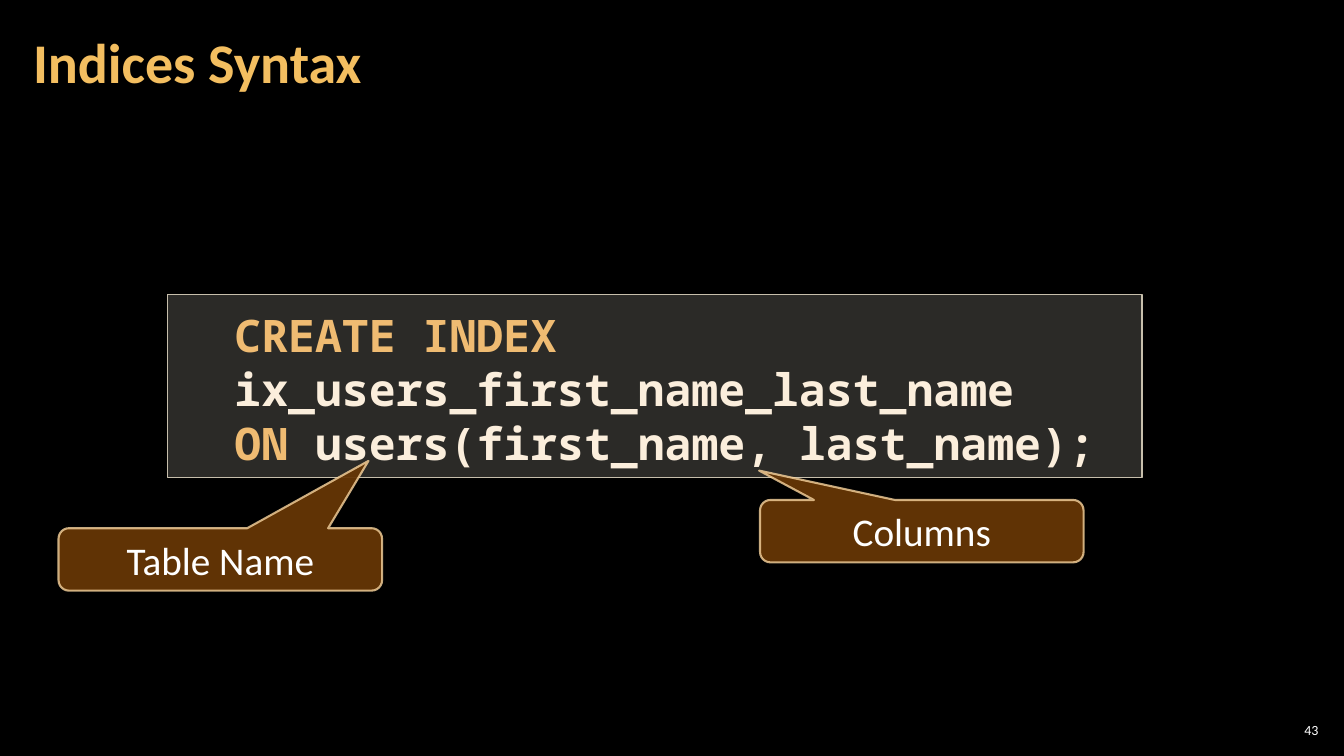
from dataclasses import dataclass

from lxml.etree import SubElement
from pptx import Presentation
from pptx.dml.color import RGBColor
from pptx.enum.shapes import MSO_SHAPE as Shape
from pptx.enum.text import MSO_ANCHOR as Anchor, PP_ALIGN as Align
from pptx.oxml.ns import qn
from pptx.util import Pt


@dataclass(frozen=True)
class Theme:
    background: str = "000000"
    title: str = "F3BE60"
    text: str = "FFFFFF"
    keyword: str = "EFBB72"
    code: str = "FBEEDC"
    code_fill: str = "D9D5C7"
    code_line: str = "C7BFAC"
    callout_fill: str = "663606"
    callout_line: str = "F8D49E"
    font: str = "Calibri"
    code_font: str = "Noto Sans Mono"
    title_size: int = 40
    code_size: int = 32
    callout_size: int = 28
    number_size: int = 10


THEME = Theme()


def paint(fill, color, opacity=100):
    """Fill with one colour, see-through below 100 percent opacity."""
    fill.solid()
    fill.fore_color.rgb = RGBColor.from_string(color)
    if opacity < 100:
        element = fill._xPr.find(qn("a:solidFill"))[0]
        SubElement(element, qn("a:alpha"), val=str(opacity * 1000))


def write_text(shape, paragraphs, size, font=THEME.font, bold=False, align=Align.LEFT,
               anchor=Anchor.MIDDLE, insets=(7.2, 3.6, 7.2, 3.6), spacing=None):
    """Each paragraph is a list of (text, colour) runs."""
    frame = shape.text_frame
    frame.word_wrap = True
    frame.vertical_anchor = anchor
    (frame.margin_left, frame.margin_top,
     frame.margin_right, frame.margin_bottom) = map(Pt, insets)
    for index, runs in enumerate(paragraphs):
        paragraph = frame.add_paragraph() if index else frame.paragraphs[0]
        paragraph.alignment = align
        paragraph.line_spacing = spacing
        for text, color in runs:
            run = paragraph.add_run()
            run.text = text
            run.font.name = font
            run.font.size = Pt(size)
            run.font.bold = bold
            run.font.color.rgb = RGBColor.from_string(color)


def add_panel(slide, kind, box, fill, opacity, line, line_width, line_opacity=100):
    shape = slide.shapes.add_shape(kind, *map(Pt, box))
    shape.shadow.inherit = False
    paint(shape.fill, fill, opacity)
    paint(shape.line.fill, line, line_opacity)
    shape.line.width = Pt(line_width)
    return shape


def add_title(slide, box, text):
    shape = slide.shapes.add_textbox(*map(Pt, box))
    write_text(shape, [[(text, THEME.title)]], THEME.title_size, bold=True,
               insets=(8.5, 2.8, 8.5, 2.8), spacing=0.9)


def add_code(slide, box, lines):
    shape = add_panel(slide, Shape.RECTANGLE, box, THEME.code_fill, 20, THEME.code_line, 1)
    write_text(shape, lines, THEME.code_size, font=THEME.code_font, bold=True,
               anchor=Anchor.TOP, insets=(48, 9.4, 0, 5), spacing=Pt(38.6))


def add_callout(slide, box, text, tip):
    """The tip is measured from the top left corner of the box."""
    left, top, width, height = box
    shape = add_panel(slide, Shape.ROUNDED_RECTANGULAR_CALLOUT, box,
                      THEME.callout_fill, 95, THEME.callout_line, 1.5, 80)
    shape.adjustments[0] = tip[0] / width - 0.5
    shape.adjustments[1] = tip[1] / height - 0.5
    write_text(shape, [[(text, THEME.text)]], THEME.callout_size, align=Align.CENTER)


def add_slide_number(slide, box, number):
    shape = slide.shapes.add_textbox(*map(Pt, box))
    write_text(shape, [[(number, THEME.text)]], THEME.number_size, align=Align.RIGHT,
               insets=(2.8, 2.8, 2.8, 2.8))


def build_syntax_slide(presentation):
    slide = presentation.slides.add_slide(presentation.slide_layouts[6])
    paint(slide.background.fill, THEME.background)

    # Statement
    add_code(slide, (119.5, 210.2, 696.2, 131), [
        [("CREATE INDEX", THEME.keyword), (" ix_users_first_name_last_name", THEME.code)],
        [("ON ", THEME.keyword), ("users(first_name, last_name);", THEME.code)],
    ])

    # Number and title
    add_slide_number(slide, (910.8, 514.1, 33.8, 15.1), "43")
    add_title(slide, (15.1, 2.9, 753.8, 87.1), "Indices Syntax")

    # Explanations
    callout_size = (231.1, 44.6)
    add_callout(slide, (41.8, 377.3, *callout_size), "Table Name", tip=(221.4, -48.1))
    add_callout(slide, (542.9, 357.1, *callout_size), "Columns", tip=(-0.7, -21))


def main():
    presentation = Presentation()
    presentation.slide_width, presentation.slide_height = Pt(960), Pt(540)
    build_syntax_slide(presentation)
    presentation.save("out.pptx")


if __name__ == "__main__":
    main()
